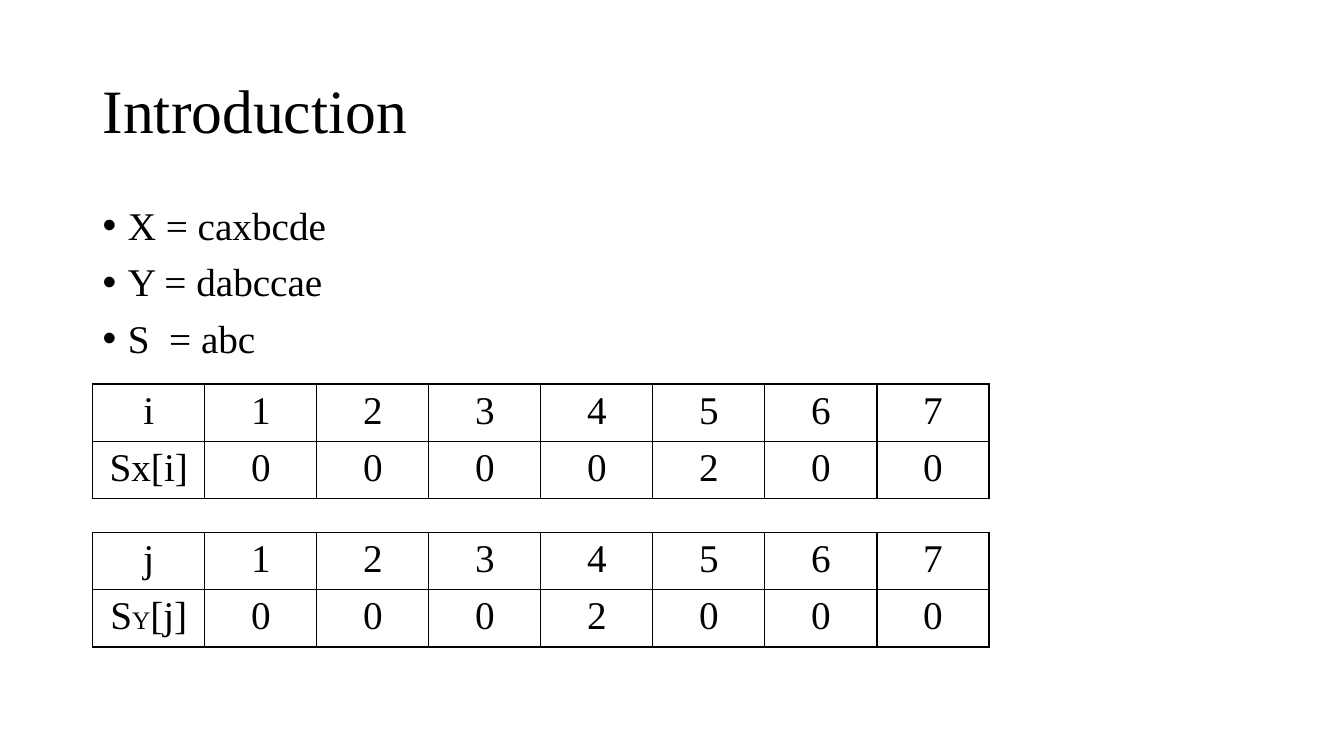
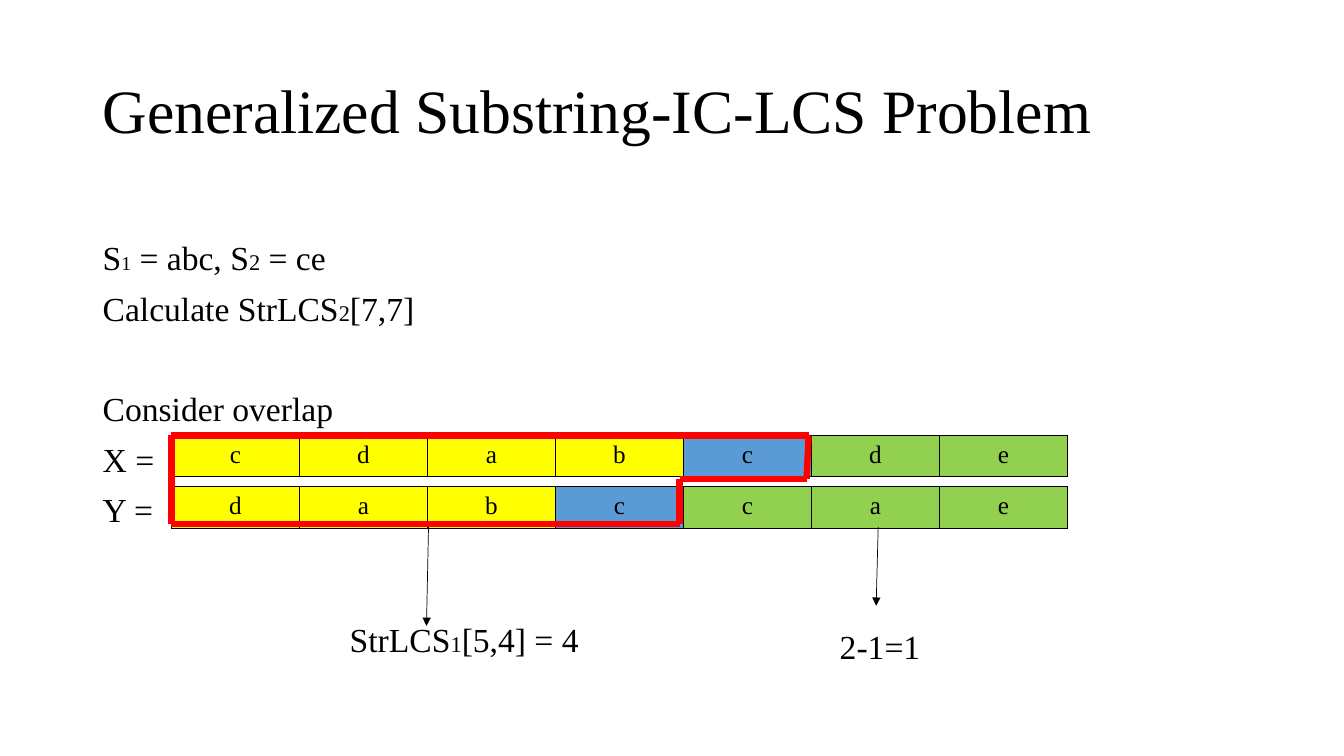
from dataclasses import dataclass
from itertools import pairwise

from lxml.etree import SubElement
from pptx import Presentation
from pptx.dml.color import RGBColor
from pptx.enum.shapes import MSO_CONNECTOR as Connector
from pptx.enum.text import MSO_ANCHOR as Anchor, PP_ALIGN as Align
from pptx.oxml import parse_xml
from pptx.oxml.ns import nsdecls, qn
from pptx.util import Inches, Pt

# Shared look
FONT = "Times New Roman"
BLACK = RGBColor(0x00, 0x00, 0x00)
RED = RGBColor(0xFF, 0x00, 0x00)
YELLOW = RGBColor(0xFF, 0xFF, 0x00)
BLUE = RGBColor(0x5B, 0x9B, 0xD5)
GREEN = RGBColor(0x92, 0xD0, 0x50)

LEFT = 0.92
BODY_WIDTH, BODY_HEIGHT = 11.5, 4.76
TABLE_WIDTH = 8.89


@dataclass(frozen=True)
class Sub:
    """Smaller characters within a line."""
    text: str
    size: float = 16


@dataclass(frozen=True)
class Line:
    """A line of text, in pieces."""
    pieces: tuple[str | Sub, ...]
    before: float = 10


@dataclass(frozen=True)
class Grid:
    """A table of equal columns, with optional fills per column."""
    left: float
    top: float
    row_height: float
    size: float
    rows: tuple[tuple[Line, ...], ...]
    fills: tuple[RGBColor, ...] = ()


@dataclass(frozen=True)
class Label:
    """An arrow and the result it points to."""
    start: tuple[float, float]
    end: tuple[float, float]
    box: tuple[float, float, float, float]
    line: Line


def lines(*texts: str) -> tuple[Line, ...]:
    return tuple(Line((text,)) for text in texts)


def write(paragraph, line: Line, size: float) -> None:
    paragraph.font.name = FONT
    paragraph.font.size = Pt(size)
    paragraph.font.color.rgb = BLACK
    for piece in line.pieces:
        run = paragraph.add_run()
        if isinstance(piece, Sub):
            run.text = piece.text
            run.font.size = Pt(piece.size)
        else:
            run.text = piece


def add_bullet(paragraph) -> None:
    properties = paragraph._p.get_or_add_pPr()
    properties.set("marL", str(Inches(0.25)))
    properties.set("indent", str(-Inches(0.25)))
    SubElement(properties, qn("a:buFont"), typeface="Arial")
    SubElement(properties, qn("a:buChar"), char="•")


def add_text(slide, box: tuple[float, float, float, float], content: tuple[Line, ...],
             size: float, spacing: float = 1.0, bulleted: bool = False,
             wrap: bool = True, anchor: Anchor = Anchor.TOP) -> None:
    frame = slide.shapes.add_textbox(*map(Inches, box)).text_frame
    frame.word_wrap = wrap
    frame.vertical_anchor = anchor
    for index, line in enumerate(content):
        paragraph = frame.add_paragraph() if index else frame.paragraphs[0]
        if bulleted:
            add_bullet(paragraph)
        paragraph.line_spacing = spacing
        if index:
            paragraph.space_before = Pt(line.before)
        write(paragraph, line, size)


def add_titled_slide(deck, title: str):
    slide = deck.slides.add_slide(deck.slide_layouts[6])
    add_text(slide, (LEFT, 0.4, BODY_WIDTH, 1.45), lines(title), 44,
             spacing=0.9, anchor=Anchor.MIDDLE)
    return slide


def add_body(slide, top: float, content: tuple[Line, ...], size: float,
             bulleted: bool = False) -> None:
    add_text(slide, (LEFT, top, BODY_WIDTH, BODY_HEIGHT), content, size,
             spacing=0.9, bulleted=bulleted)


def add_borders(cell) -> None:
    properties = cell._tc.get_or_add_tcPr()
    for index, side in enumerate(("lnL", "lnR", "lnT", "lnB")):
        properties.insert(index, parse_xml(
            f'<a:{side} {nsdecls("a")} w="{Pt(1)}"><a:solidFill>'
            f'<a:srgbClr val="{BLACK}"/></a:solidFill></a:{side}>'))


def add_grid(slide, grid: Grid) -> None:
    row_count, column_count = len(grid.rows), len(grid.rows[0])
    table = slide.shapes.add_table(
        row_count, column_count, Inches(grid.left), Inches(grid.top),
        Inches(TABLE_WIDTH), Inches(grid.row_height * row_count)).table
    table.first_row = table.horz_banding = False
    for row, row_lines in enumerate(grid.rows):
        table.rows[row].height = Inches(grid.row_height)
        for column, line in enumerate(row_lines):
            cell = table.cell(row, column)
            if grid.fills:
                cell.fill.solid()
                cell.fill.fore_color.rgb = grid.fills[column]
            else:
                cell.fill.background()
            add_borders(cell)
            paragraph = cell.text_frame.paragraphs[0]
            paragraph.alignment = Align.CENTER
            write(paragraph, line, grid.size)


def add_line(slide, start: tuple[float, float], end: tuple[float, float],
             color: RGBColor, width: float, arrow: bool = False) -> None:
    connector = slide.shapes.add_connector(
        Connector.STRAIGHT, *map(Inches, (*start, *end)))
    connector.line.color.rgb = color
    connector.line.width = Pt(width)
    if arrow:
        SubElement(connector.line._get_or_add_ln(), qn("a:tailEnd"), type="triangle")
    SubElement(connector._element.spPr, qn("a:effectLst"))


def build_introduction(deck) -> None:
    slide = add_titled_slide(deck, "Introduction")
    add_body(slide, 2, lines("X = caxbcde", "Y = dabccae", "S  = abc"), 28, bulleted=True)

    # Match lengths by position
    for top, index_name, match_name, matches in (
        (3.81, "i", Line(("Sx[i]",)), "0000200"),
        (5.28, "j", Line(("S", Sub("Y", 18), "[j]")), "0002000"),
    ):
        rows = (lines(index_name, *"1234567"), (match_name, *lines(*matches)))
        add_grid(slide, Grid(LEFT, top, 0.57, 28, rows))


def build_problem(deck) -> None:
    slide = add_titled_slide(deck, "Generalized Substring-IC-LCS Problem")
    add_body(slide, 2.35, (
        Line(("S", Sub("1", 14), " = abc, S", Sub("2"), " = ce")),
        Line(("Calculate StrLCS", Sub("2"), "[7,7]")),
        Line(("Consider overlap",), before=46),
        *lines("X =", "Y ="),
    ), 24)

    # Sequences: prefix, overlap character, remainder
    for top, sequence, prefix in ((4.32, "cdabcde", 4), (4.83, "dabccae", 3)):
        remainder = len(sequence) - prefix - 1
        fills = (YELLOW,) * prefix + (BLUE,) + (GREEN,) * remainder
        add_grid(slide, Grid(1.7, top, 0.41, 18, (lines(*sequence),), fills))

    # Outline of the first subproblem
    corners = ((1.7, 4.32), (8.02, 4.32), (8, 4.75), (6.74, 4.75),
               (6.74, 5.2), (1.7, 5.2), (1.7, 4.32))
    for start, end in pairwise(corners):
        add_line(slide, start, end, RED, 4.5)

    # Results
    for label in (
        Label((4.25, 5.23), (4.23, 6.21), (3.37, 6.09, 2.55, 0.5),
              Line(("StrLCS", Sub("1"), "[5,4] = 4"))),
        Label((8.71, 5.23), (8.69, 6.01), (8.23, 6.16, 1.01, 0.5), Line(("2-1=1",))),
    ):
        add_text(slide, label.box, (label.line,), 24, wrap=False)
        add_line(slide, label.start, label.end, BLACK, 0.5, arrow=True)


def main() -> None:
    deck = Presentation()
    deck.slide_width, deck.slide_height = Inches(13.33), Inches(7.5)
    build_introduction(deck)
    build_problem(deck)
    deck.save("out.pptx")


if __name__ == "__main__":
    main()
